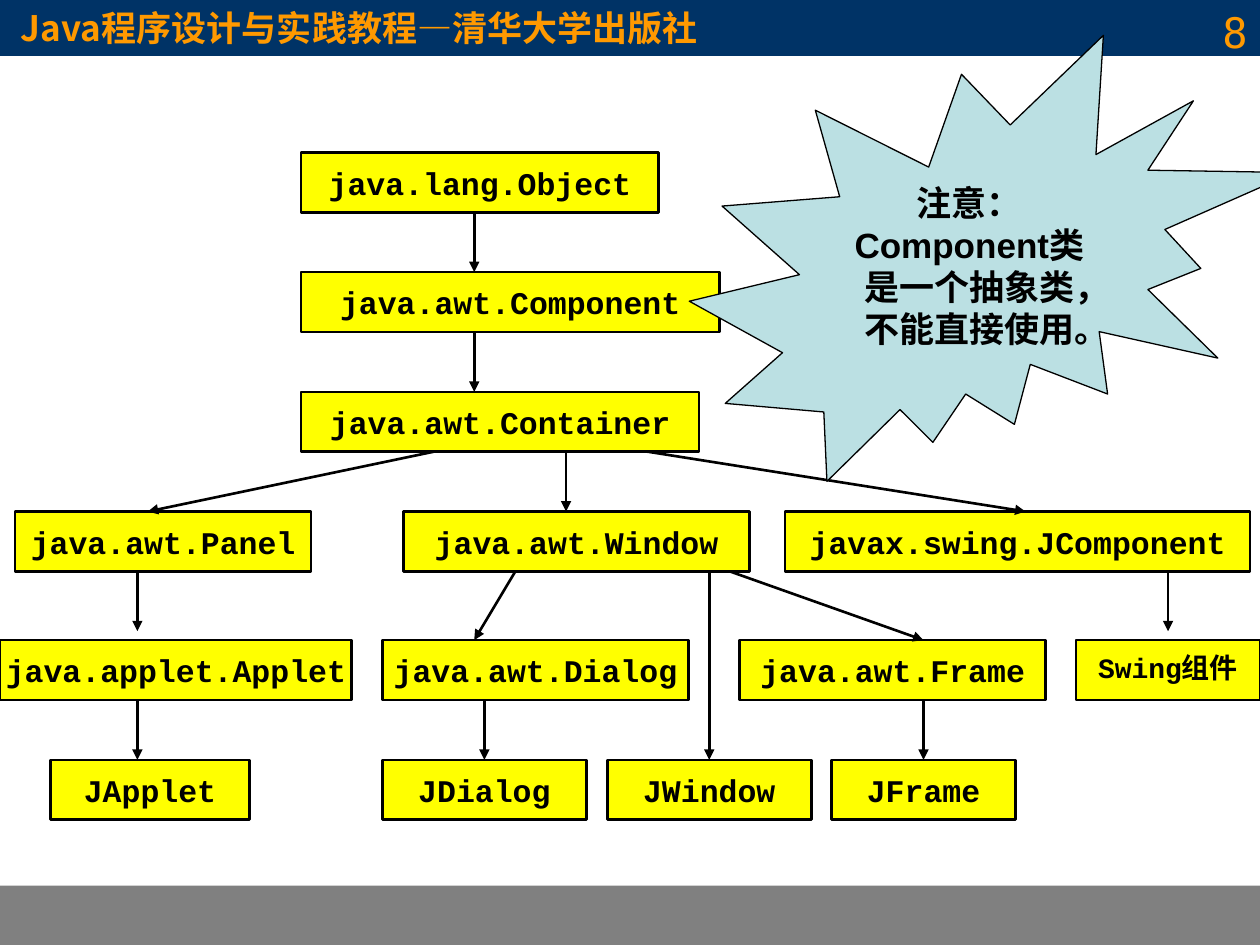
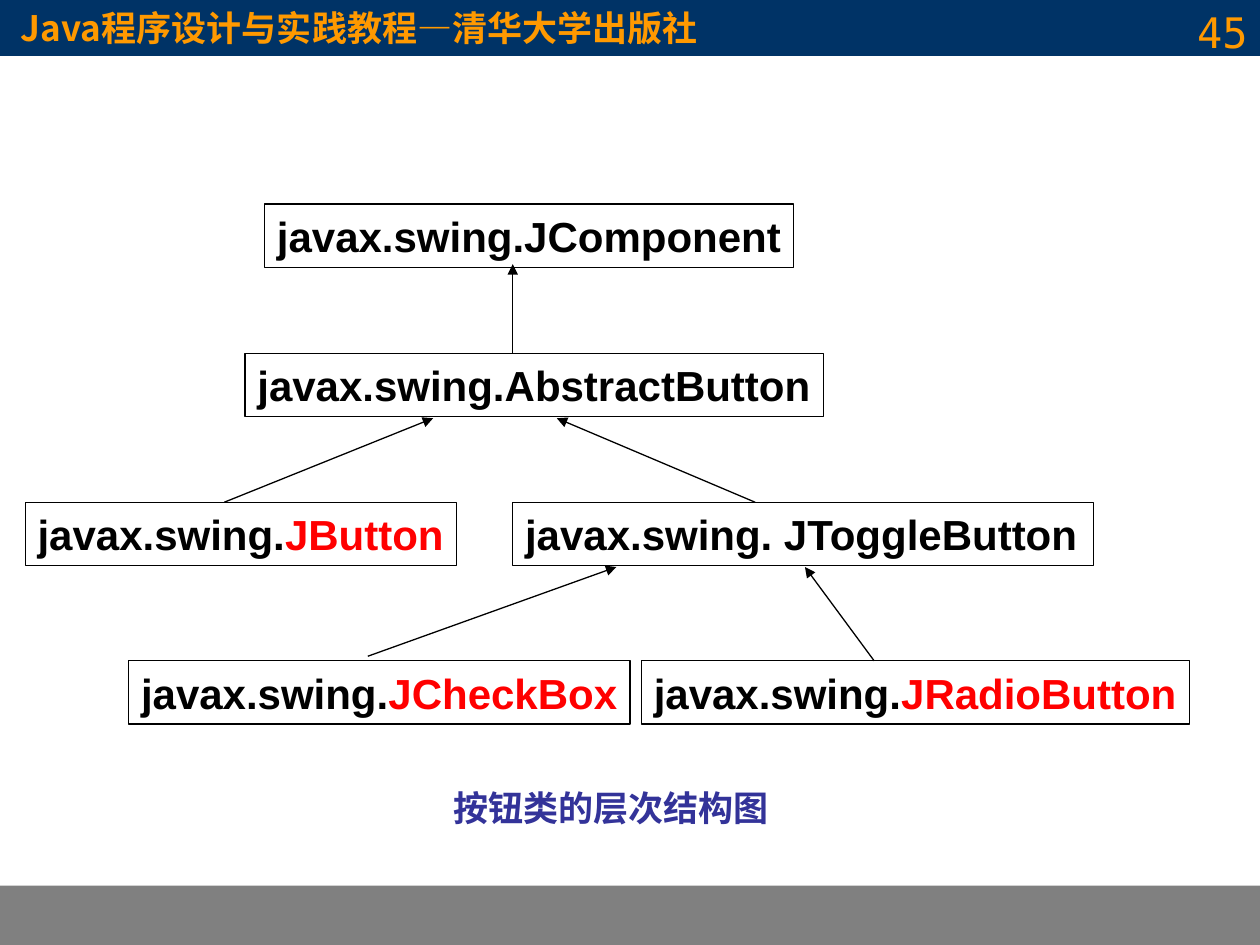
"""Build two class-hierarchy slides for a Java course."""
from lxml import etree
from pptx import Presentation, util as u
from pptx.dml.color import RGBColor
from pptx.enum import shapes, text
from pptx.oxml.ns import qn

NAVY, ORANGE, GRAY = "003366", "FF9900", "808080"
BLACK, YELLOW, RED = "000000", "FFFF00", "FF0000"
PALE_BLUE, INDIGO = "BBE0E3", "333399"
CHINESE_FONT = "Noto Sans CJK SC"
HEADING = "Java程序设计与实践教程—清华大学出版社"
LEFT, CENTER, RIGHT = text.PP_ALIGN.LEFT, text.PP_ALIGN.CENTER, text.PP_ALIGN.RIGHT
TOP, MIDDLE = text.MSO_ANCHOR.TOP, text.MSO_ANCHOR.MIDDLE
RECTANGLE = shapes.MSO_SHAPE.RECTANGLE


def color(value):
    """Turn a hex string into a colour."""
    return RGBColor.from_string(value)


class Slides:
    """Hold the deck style and the slide being drawn."""

    def __init__(self):
        """Start an empty deck."""
        self.deck = Presentation()
        self.deck.slide_width, self.deck.slide_height = u.Pt(720), u.Pt(540)
        self.page = None

    def start_page(self, number):
        """Add a slide with its heading band, footer band and number."""
        self.page = self.deck.slides.add_slide(self.deck.slide_layouts[5])
        title = self.page.shapes.title
        title.left, title.top, title.width, title.height = map(u.Pt, (0, 0, 720, 31.7))
        self.paint(title, NAVY, NAVY, 0.75)
        self.letter(title, HEADING, 20, CHINESE_FONT, ORANGE, wrap=True)
        title.text_frame.margin_left = u.Pt(12)
        self.shape(0, 506, 720, 34, GRAY)
        self.label(number, 552, 0, 168, 37.4, 24, "DejaVu Sans Mono", ORANGE, RIGHT, False)

    def paint(self, shape, fill, line, width):
        """Set fill and outline, either of which may be absent."""
        if fill:
            shape.fill.solid()
            shape.fill.fore_color.rgb = color(fill)
        else:
            shape.fill.background()
        if line:
            shape.line.color.rgb = color(line)
            shape.line.width = u.Pt(width)
        else:
            shape.line.fill.background()

    def letter(self, shape, words, size, font, ink, align=LEFT, anchor=MIDDLE,
               wrap=False, bold=True, accent="", spacing=None):
        """Fill a shape with one paragraph and an optional red ending."""
        frame = shape.text_frame
        frame.text = words
        frame.auto_size = text.MSO_AUTO_SIZE.NONE
        frame.word_wrap = wrap
        frame.vertical_anchor = anchor
        frame.margin_left = frame.margin_right = u.Pt(7.2)
        frame.margin_top = frame.margin_bottom = u.Pt(3.6)
        para = frame.paragraphs[0]
        para.alignment = align
        if spacing:
            para.line_spacing = spacing
        if accent:
            para.add_run().text = accent
        for span, tint in zip(para.runs, (ink, RED)):
            span.font.size, span.font.bold = u.Pt(size), bold
            span.font.name = font
            span.font.color.rgb = color(tint)
            etree.SubElement(span.font._element, qn("a:ea"), typeface=CHINESE_FONT)

    def shape(self, left, top, width, height, fill=None, line=None,
              line_width=0.75, kind=RECTANGLE):
        """Add a preset shape."""
        shape = self.page.shapes.add_shape(kind, *map(u.Pt, (left, top, width, height)))
        shape.shadow.inherit = False
        self.paint(shape, fill, line, line_width)
        return shape

    def label(self, words, left, top, width, height, size, font, ink, align=LEFT, bold=True):
        """Add a plain text box."""
        box = self.page.shapes.add_textbox(*map(u.Pt, (left, top, width, height)))
        self.letter(box, words, size, font, ink, align, TOP, True, bold)

    def arrow(self, start_x, start_y, end_x, end_y, width=0.75, target=None):
        """Add an arrow, joined to the top of a target box if given."""
        line = self.page.shapes.add_connector(
            shapes.MSO_CONNECTOR.STRAIGHT, *map(u.Pt, (start_x, start_y, end_x, end_y)))
        if target is not None:
            line.end_connect(target, 0)
        line.line.color.rgb = color(BLACK)
        line.line.width = u.Pt(width)
        properties = line._element.spPr
        etree.SubElement(properties.get_or_add_ln(), qn("a:tailEnd"), type="triangle")
        etree.SubElement(properties, qn("a:effectLst"))


def draw_awt_hierarchy(slides):
    """Draw the AWT and Swing class tree with a warning burst."""
    slides.start_page("8")
    height = 34.2
    pitch = 2 * height
    tops = [87.1 + pitch * row for row in range(4)] + [365.8, 365.8 + pitch]
    rows = [
        [("java.lang.Object", 172, 204.5)],
        [("java.awt.Component", 172, 239)],
        [("java.awt.Container", 172, 227.5)],
        [("java.awt.Panel", 8.6, 169.2), ("java.awt.Window", 230.4, 198),
         ("javax.swing.JComponent", 448.6, 265.7)],
        [("java.applet.Applet", 0, 201), ("java.awt.Dialog", 218.5, 175),
         ("java.awt.Frame", 422.6, 175), ("Swing组件", 614.9, 105.1)],
        [("JApplet", 28.8, 113.8), ("JDialog", 218.5, 116.6),
         ("JWindow", 347, 116.6), ("JFrame", 475.2, 105.1)],
    ]
    boxes = {}
    for top, row in zip(tops, rows):
        for name, left, width in row:
            box = boxes[name] = slides.shape(left, top, width, height, YELLOW, BLACK, 1.5)
            size, spacing = (16, 0.8) if name == "Swing组件" else (18, None)
            slides.letter(box, name, size, "Courier New", BLACK, CENTER, spacing=spacing)

    arrows = [
        (271, 0, 271, 1, None), (271, 1, 271, 2, None),
        (323.5, 2, 323.5, 3, None), (248, 2, 84.5, 3, None), (370, 2, 586, 3, None),
        (294.5, 3, 271, 4, None), (417, 3, 527.7, 4, None),
        (405.3, 3, 405.3, 5, "JWindow"), (78.5, 4, 78.5, 5, None),
        (276.8, 4, 276.8, 5, "JDialog"), (527.75, 4, 527.75, 5, "JFrame"),
    ]
    for start_x, start_row, end_x, end_row, target in arrows:
        slides.arrow(start_x, tops[start_row] + height, end_x, tops[end_row],
                     1.5, boxes.get(target))
    for x, width in ((78.5, 1.5), (667.5, 0.75)):
        slides.arrow(x, tops[3] + height, x, tops[3] + pitch, width)

    burst = slides.shape(393.9, 20.2, 345.6, 254.9, PALE_BLUE, BLACK,
                         kind=shapes.MSO_SHAPE.EXPLOSION2)
    slides.letter(burst, "注意：Component类是一个抽象类，不能直接使用。", 20, "Arial",
                  BLACK, CENTER, wrap=True)


def draw_button_hierarchy(slides):
    """Draw the Swing button class tree."""
    slides.start_page("45")
    slides.label("按钮类的层次结构图", 252, 445.7, 198.7, 43.9, 20, "Arial", INDIGO)
    tops = [116.6, 201.8, 287, 377.6]
    boxes = [
        ("JComponent", "", 0, 151.2, 302.4),
        ("AbstractButton", "", 1, 140, 330.5),
        ("", "JButton", 2, 14.4, 246.3),
        (" JToggleButton", "", 2, 293, 332),
        ("", "JCheckBox", 3, 73.5, 286.5),
        ("", "JRadioButton", 3, 366.5, 313.2),
    ]
    for name, accent, row, left, width in boxes:
        box = slides.shape(left, tops[row], width, 36.2, line=BLACK)
        slides.letter(box, "javax.swing." + name, 24, "Arial", BLACK, anchor=TOP, accent=accent)

    arrows = [
        (293, tops[1], 293, 151), (128.2, tops[2], 247.5, 239),
        (431.5, tops[2], 318.2, 239), (499.5, tops[3], 460, 324),
        (210.2, 375, 352.2, 324),
    ]
    for ends in arrows:
        slides.arrow(*ends)


def main():
    """Build and save the deck."""
    slides = Slides()
    draw_awt_hierarchy(slides)
    draw_button_hierarchy(slides)
    slides.deck.save("out.pptx")


if __name__ == "__main__":
    main()
